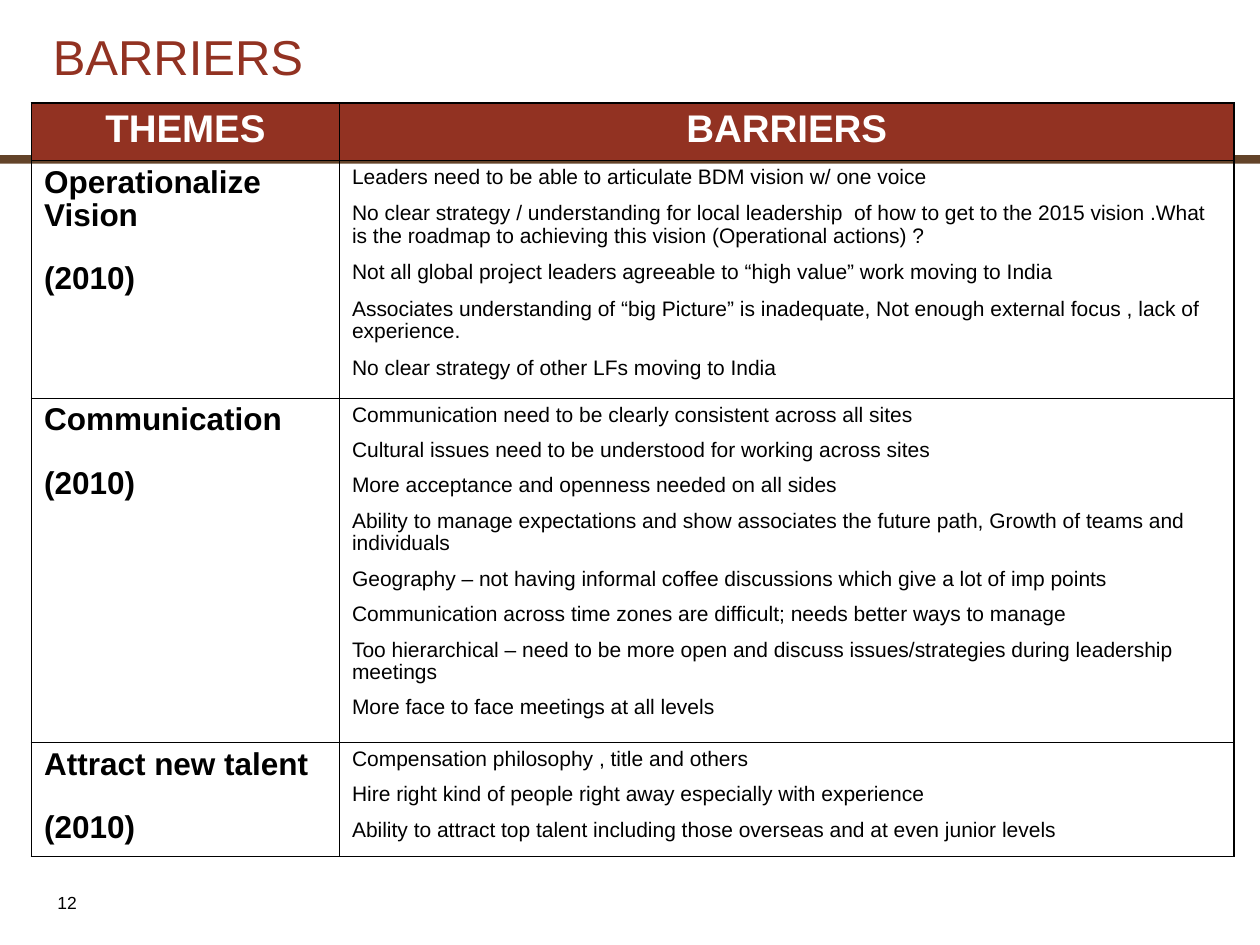
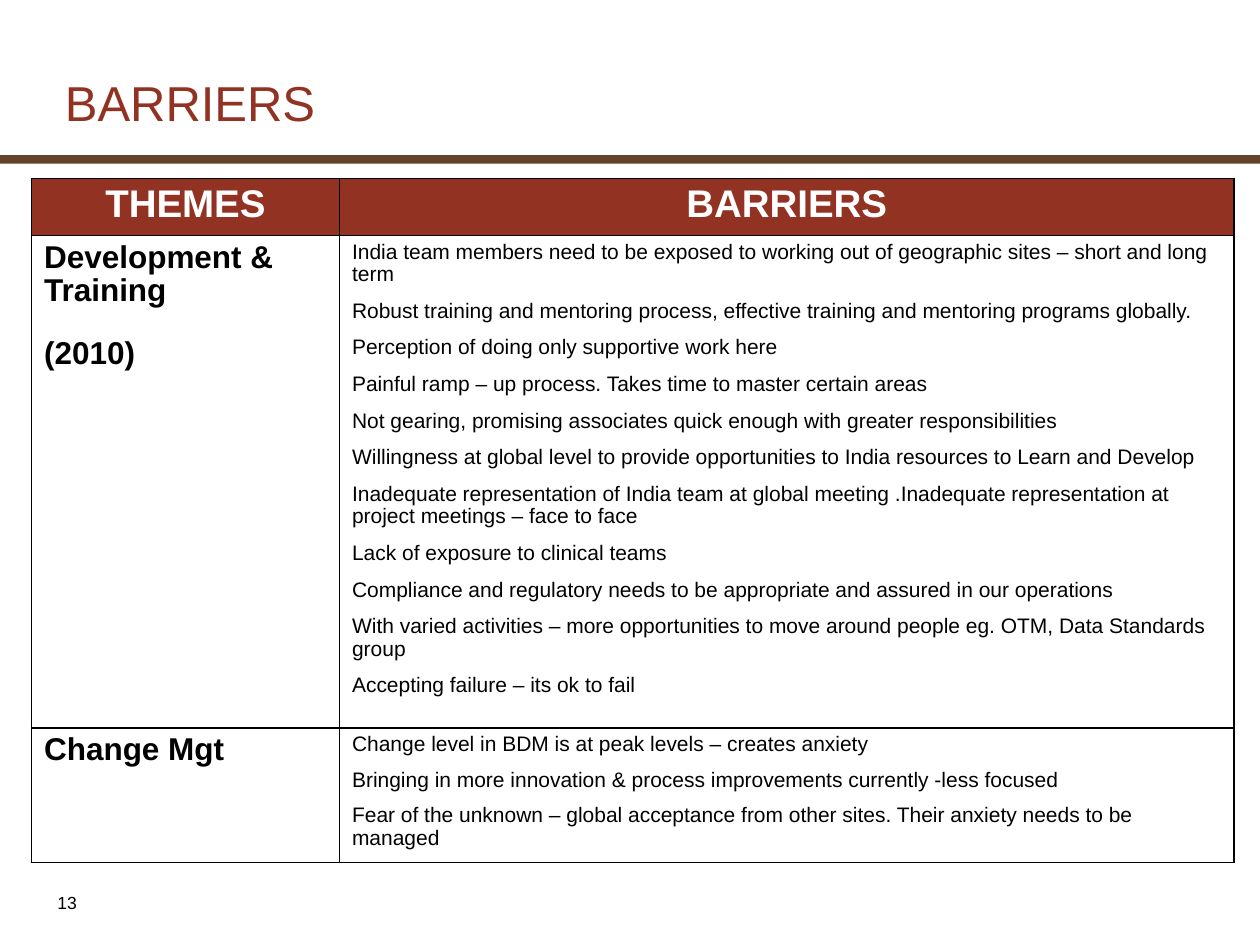
from dataclasses import dataclass

from lxml.etree import SubElement as Sub
from pptx import Presentation as Deck
from pptx.dml.color import RGBColor as Color
from pptx.enum.shapes import MSO_SHAPE as Form
from pptx.enum.text import MSO_ANCHOR as Anchor, PP_ALIGN as Align
from pptx.oxml.ns import qn
from pptx.slide import Slide
from pptx.table import _Cell as Cell
from pptx.text.text import TextFrame as Frame
from pptx.util import Pt

RED = Color(0x92, 0x32, 0x22)
BROWN = Color(0x63, 0x43, 0x29)
WHITE = Color(0xFF, 0xFF, 0xFF)
BLACK = Color(0, 0, 0)
FONT = "Arial"
WIDE, HIGH = 720, 540
LEFT = 18
COLS = (176, 511.2)
HEAD = 32.4
THIN, THICK = 0.45, 1.08


@dataclass(frozen=True)
class Style:
    size: float
    color: Color = BLACK
    bold: bool = False
    align: Align = Align.LEFT
    gap: float = 0
    lead: float = 0.95


@dataclass(frozen=True)
class Theme:
    name: tuple[str, ...]
    points: tuple[str, ...]
    height: float
    gap: float = 7.5
    under: float = THIN


@dataclass(frozen=True)
class Page:
    number: str
    title: tuple[float, float]
    top: float
    themes: tuple[Theme, ...]


TITLE = Style(28, RED)
HEADER = Style(22, WHITE, True, Align.CENTER)
NAME = Style(18, bold=True, gap=16.9)
NUMBER = Style(10, lead=1)

PAGES = (
    Page("12", (23, 13.7), 59, (
        Theme(("Operationalize Vision", "(2010)"), (
            "Leaders need to be able to articulate BDM vision w/ one voice",
            "No clear strategy / understanding for local leadership  of how to get to the "
            "2015 vision .What is the roadmap to achieving this vision (Operational actions) ?",
            "Not all global project leaders agreeable to “high value” work moving to India",
            "Associates understanding of “big Picture” is inadequate, Not enough external "
            "focus , lack of experience.",
            "No clear strategy of other LFs moving to India",
        ), 136, gap=8.2),
        Theme(("Communication", "(2010)"), (
            "Communication need to be clearly consistent across all sites",
            "Cultural issues need to be understood for working across sites",
            "More acceptance and openness needed on all sides",
            "Ability to manage expectations and show associates the future path, Growth of "
            "teams and individuals",
            "Geography – not having informal coffee discussions which give a lot of imp points",
            "Communication across time zones are difficult; needs better ways to manage",
            "Too hierarchical – need to be more open and discuss issues/strategies during "
            "leadership meetings",
            "More face to face meetings at all levels",
        ), 196.8),
        Theme(("Attract new talent", "(2010)"), (
            "Compensation philosophy , title and others",
            "Hire right kind of people right away especially with experience",
            "Ability to attract top talent including those overseas and at even junior levels",
        ), 65.2, under=THICK),
    )),
    Page("13", (29.9, 40), 102, (
        Theme(("Development & Training", "(2010)"), (
            "India team members need to be exposed to working out of geographic sites – short "
            "and long term",
            "Robust training and mentoring process, effective training and mentoring programs "
            "globally.",
            "Perception of doing only supportive work here",
            "Painful ramp – up process. Takes time to master certain areas",
            "Not gearing, promising associates quick enough with greater responsibilities",
            "Willingness at global level to provide opportunities to India resources to Learn "
            "and Develop",
            "Inadequate representation of India team at global meeting .Inadequate "
            "representation at project meetings – face to face",
            "Lack of exposure to clinical teams",
            "Compliance and regulatory needs to be appropriate and assured in our operations",
            "With varied activities – more opportunities to move around people eg. OTM, Data "
            "Standards group",
            "Accepting failure – its ok to fail",
        ), 281.5, gap=8.2, under=THICK),
        Theme(("Change Mgt",), (
            "Change level in BDM is at peak levels – creates anxiety",
            "Bringing in more innovation & process improvements currently -less focused",
            "Fear of the unknown – global acceptance from other sites. Their anxiety needs to "
            "be managed",
        ), 77, under=THICK),
    )),
)


def write(frame: Frame, lines: tuple[str, ...], style: Style) -> None:
    frame.word_wrap = True
    for i, line in enumerate(lines):
        para = frame.add_paragraph() if i else frame.paragraphs[0]
        para.alignment = style.align
        para.line_spacing = style.lead
        para.space_before = Pt(style.gap if i else 0)
        run = para.add_run()
        run.text = line
        font = run.font
        font.name, font.size, font.bold = FONT, Pt(style.size), style.bold
        font.color.rgb = style.color


def border(cell: Cell, widths: dict[str, float]) -> None:
    props = cell._tc.get_or_add_tcPr()
    for side in "LRTB":
        line = Sub(props, qn(f"a:ln{side}"), w=str(Pt(widths[side])))
        fill = Sub(line, qn("a:solidFill"))
        Sub(fill, qn("a:srgbClr"), val=str(BLACK))


def draw_band(slide: Slide) -> None:
    band = slide.shapes.add_shape(Form.RECTANGLE, 0, Pt(88.6), Pt(WIDE), Pt(5))
    band.shadow.inherit = False
    band.fill.solid()
    band.fill.fore_color.rgb = BROWN
    band.line.fill.background()


def draw_title(slide: Slide, page: Page) -> None:
    title = slide.shapes.title
    x, y = page.title
    title.left, title.top, title.width, title.height = Pt(x), Pt(y), Pt(648), Pt(39.6)
    title.text_frame.vertical_anchor = Anchor.BOTTOM
    write(title.text_frame, ("BARRIERS",), TITLE)


def draw_number(slide: Slide, page: Page) -> None:
    box = slide.shapes.add_textbox(Pt(25.7), Pt(506.2), Pt(85.7), Pt(19.4))
    write(box.text_frame, (page.number,), NUMBER)


def draw_table(slide: Slide, page: Page) -> None:
    heights = (HEAD, *(theme.height for theme in page.themes))
    rules = (THICK, THIN, *(theme.under for theme in page.themes))
    table = slide.shapes.add_table(
        len(heights), len(COLS), Pt(LEFT), Pt(page.top), Pt(sum(COLS)), Pt(sum(heights))
    ).table
    table.first_row = table.horz_banding = False
    for col, width in zip(table.columns, COLS):
        col.width = Pt(width)
    for r, height in enumerate(heights):
        table.rows[r].height = Pt(height)
        for c in range(len(COLS)):
            cell = table.cell(r, c)
            border(cell, {"L": THIN if c else THICK, "R": THICK if c else THIN,
                          "T": rules[r], "B": rules[r + 1]})
            if r == 0:
                cell.fill.solid()
                cell.fill.fore_color.rgb = RED
            else:
                cell.fill.background()
    for c, head in enumerate(("THEMES", "BARRIERS")):
        write(table.cell(0, c).text_frame, (head,), HEADER)
    for r, theme in enumerate(page.themes, 1):
        write(table.cell(r, 0).text_frame, theme.name, NAME)
        write(table.cell(r, 1).text_frame, theme.points, Style(12, gap=theme.gap))


def main() -> None:
    deck = Deck()
    deck.slide_width, deck.slide_height = Pt(WIDE), Pt(HIGH)
    for page in PAGES:
        slide = deck.slides.add_slide(deck.slide_layouts[5])
        draw_band(slide)
        draw_number(slide, page)
        draw_title(slide, page)
        draw_table(slide, page)
    deck.save("out.pptx")


if __name__ == "__main__":
    main()
